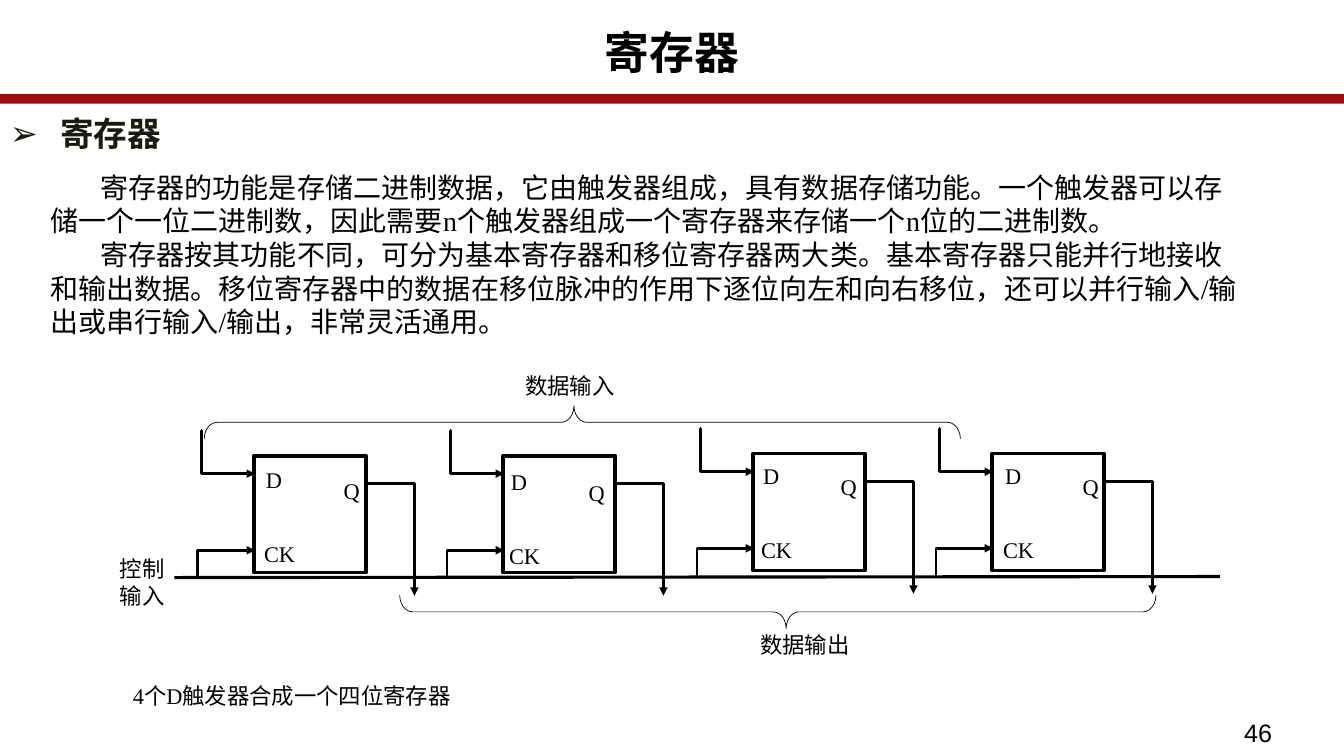
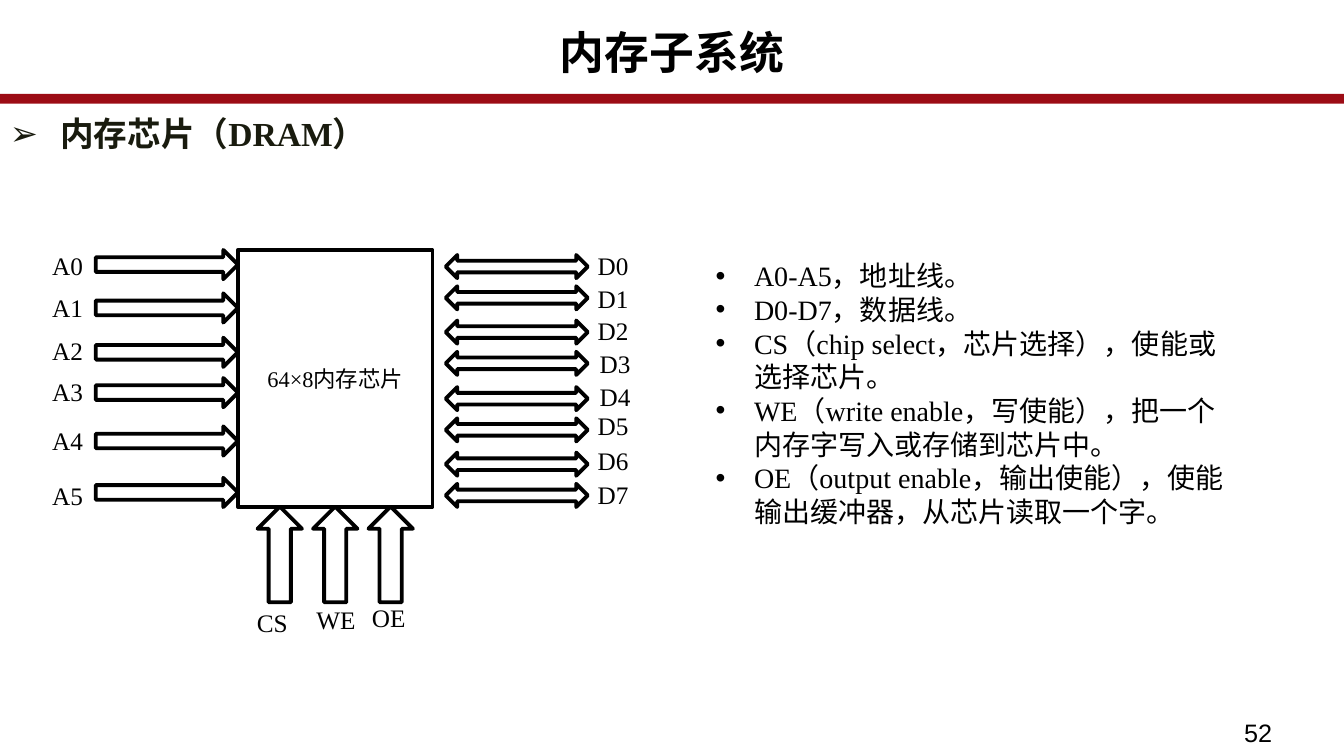
from typing import NamedTuple, Optional, Sequence

from lxml.etree import SubElement
from pptx import Presentation
from pptx.dml.color import RGBColor
from pptx.enum.shapes import MSO_CONNECTOR, MSO_SHAPE
from pptx.enum.text import MSO_ANCHOR, PP_ALIGN
from pptx.oxml.ns import qn
from pptx.presentation import Presentation as Deck
from pptx.shapes.autoshape import Shape
from pptx.shapes.connector import Connector
from pptx.slide import Slide
from pptx.text.text import TextFrame
from pptx.util import Pt

PX = 9144  # one px is a hundredth of an inch
COLORS = {"ink": "000000", "heading": "191B0E", "band": "9C0C15", "paper": "FFFFFF"}
SERIF, SANS = "Times New Roman", "Arial"
OUTLINE = 2.75


class Box(NamedTuple):
    left: int
    top: int
    width: int
    height: int

    def emu(self) -> list[int]:
        return [value * PX for value in self]


class TextStyle(NamedTuple):
    size: int
    font: str = SERIF
    color: str = "ink"
    bold: bool = False
    align: PP_ALIGN = PP_ALIGN.LEFT
    line_spacing: Optional[float] = None
    margin: int = 0
    indent: int = 0
    bullet: str = ""


class FlipFlop(NamedTuple):
    left: int
    top: int
    label_left: int
    label_top: int


class Pin(NamedTuple):
    name: str
    label_left: int
    label_top: int


TITLE = TextStyle(32, bold=True, align=PP_ALIGN.CENTER, line_spacing=0.89)
HEADING = TextStyle(24, color="heading", bold=True, line_spacing=0.94,
                    margin=50, indent=-50, bullet="➢")
BODY = TextStyle(20, indent=50)
BULLETS = TextStyle(20, margin=38, indent=-38, bullet="•")
LABEL = TextStyle(16)
PIN_LABEL = TextStyle(18)
CAPTION = TextStyle(16, indent=14)
CHIP_LABEL = TextStyle(16, align=PP_ALIGN.CENTER)
PAGE_NUMBER = TextStyle(18, font=SANS)

FLIP_FLOPS = [
    FlipFlop(252, 452, 254, 458),
    FlipFlop(499, 452, 497, 460),
    FlipFlop(747, 450, 747, 454),
    FlipFlop(984, 450, 987, 454),
]
ADDRESS_ARROW_TOPS = [248, 291, 335, 375, 423, 474]
ADDRESS_LABEL_TOPS = [243, 285, 328, 368, 417, 472]
DATA_LABEL_TOPS = [243, 276, 308, 341, 373, 402, 437, 471]
CONTROL_PINS = [Pin("CS", 245, 598), Pin("WE", 304, 595), Pin("OE", 359, 593)]


def color(name: str) -> RGBColor:
    return RGBColor.from_string(COLORS[name])


def write(text_frame: TextFrame, lines: Sequence[str], style: TextStyle) -> None:
    text_frame.word_wrap = True
    text_frame.text = "\n".join(lines)
    for paragraph in text_frame.paragraphs:
        properties = paragraph._p.get_or_add_pPr()
        properties.set("marL", str(style.margin * PX))
        properties.set("indent", str(style.indent * PX))
        if style.bullet:
            SubElement(properties, qn("a:buFont")).set("typeface", SANS)
            SubElement(properties, qn("a:buChar")).set("char", style.bullet)
        paragraph.alignment = style.align
        if style.line_spacing:
            paragraph.line_spacing = style.line_spacing
        for run in paragraph.runs:
            run.font.name = style.font
            run.font.size = Pt(style.size)
            run.font.bold = style.bold
            run.font.color.rgb = color(style.color)


def add_text(slide: Slide, box: Box, style: TextStyle, *lines: str) -> None:
    write(slide.shapes.add_textbox(*box.emu()).text_frame, lines, style)


def add_outlined(slide: Slide, kind: MSO_SHAPE, box: Box, fill: Optional[str] = "paper",
                 line: str = "ink", width: float = OUTLINE, rotation: int = 0) -> Shape:
    shape = slide.shapes.add_shape(kind, *box.emu())
    shape.shadow.inherit = False
    if fill:
        shape.fill.solid()
        shape.fill.fore_color.rgb = color(fill)
    else:
        shape.fill.background()
    shape.line.color.rgb = color(line)
    shape.line.width = Pt(width)
    shape.rotation = rotation
    return shape


def add_line(slide: Slide, kind: MSO_CONNECTOR, start: tuple[float, float],
             end: tuple[float, float], width: float) -> Connector:
    ends = [round(value * PX) for value in (*start, *end)]
    connector = slide.shapes.add_connector(kind, *ends)
    connector.line.color.rgb = color("ink")
    connector.line.width = Pt(width)
    SubElement(connector.element.spPr, qn("a:effectLst"))
    return connector


def add_wire(slide: Slide, start: tuple[int, int], end: tuple[int, int],
             horizontal_first: bool = False) -> None:
    """Draw an L-shaped arrow; the elbow is turned a quarter to leave horizontally."""
    bend = 2200
    if horizontal_first:
        middle_x, middle_y = (start[0] + end[0]) / 2, (start[1] + end[1]) / 2
        half_x, half_y = (end[1] - start[1]) / 2, (end[0] - start[0]) / 2
        start = (middle_x - half_x, middle_y + half_y)
        end = (middle_x + half_x, middle_y - half_y)
        bend = 400
    wire = add_line(slide, MSO_CONNECTOR.ELBOW, start, end, 2)
    properties = wire.element.spPr
    if horizontal_first:
        properties.find(qn("a:xfrm")).set("rot", "5400000")
    geometry = properties.find(qn("a:prstGeom"))
    adjustments = geometry.find(qn("a:avLst"))
    if adjustments is None:
        adjustments = SubElement(geometry, qn("a:avLst"))
    guide = SubElement(adjustments, qn("a:gd"))
    guide.set("name", "adj1")
    guide.set("fmla", f"val {bend}")
    SubElement(properties.find(qn("a:ln")), qn("a:tailEnd")).set("type", "triangle")


def add_brace(slide: Slide, box: Box, rotation: int) -> None:
    brace = add_outlined(slide, MSO_SHAPE.LEFT_BRACE, box, fill=None, width=0.5,
                         rotation=rotation)
    brace.adjustments[0] = 0.386
    brace.adjustments[1] = 0.511


def add_titled_slide(presentation: Deck, title: str, heading: str, number: int) -> Slide:
    slide = presentation.slides.add_slide(presentation.slide_layouts[5])
    add_outlined(slide, MSO_SHAPE.ROUNDED_RECTANGLE, Box(-1, 95, 1334, 6), "band", "band")
    placeholder = slide.shapes.title
    placeholder.left, placeholder.top, placeholder.width, placeholder.height = Box(
        0, 26, 1333, 75).emu()
    placeholder.text_frame.vertical_anchor = MSO_ANCHOR.TOP
    write(placeholder.text_frame, [title], TITLE)
    add_text(slide, Box(0, 110, 871, 51), HEADING, heading)
    add_text(slide, Box(1224, 707, 109, 44), PAGE_NUMBER, str(number))
    return slide


def add_flip_flop(slide: Slide, unit: FlipFlop) -> None:
    left, top, label_left, label_top = unit
    add_outlined(slide, MSO_SHAPE.RECTANGLE, Box(left, top, 111, 116))
    add_wire(slide, (left - 53, top - 25), (left + 1, top + 18))
    add_wire(slide, (left - 57, top + 121), (left + 1, top + 94))
    add_wire(slide, (left + 111, top + 27), (left + 159, top + 139), horizontal_first=True)
    add_text(slide, Box(label_left, label_top, 30, 37), LABEL, "D")
    add_text(slide, Box(label_left + 77, label_top + 10, 37, 37), LABEL, "Q")
    add_text(slide, Box(label_left - 2, label_top + 73, 79, 37), LABEL, "CK")


def add_register_slide(presentation: Deck) -> None:
    slide = add_titled_slide(presentation, "寄存器", "寄存器", 46)
    add_text(
        slide, Box(40, 164, 1198, 178), BODY,
        "寄存器的功能是存储二进制数据，它由触发器组成，具有数据存储功能。一个触发器可以存储一个"
        "一位二进制数，因此需要n个触发器组成一个寄存器来存储一个n位的二进制数。",
        "寄存器按其功能不同，可分为基本寄存器和移位寄存器两大类。基本寄存器只能并行地接收和输出"
        "数据。移位寄存器中的数据在移位脉冲的作用下逐位向左和向右移位，还可以并行输入/输出或"
        "串行输入/输出，非常灵活通用。",
    )
    for unit in FLIP_FLOPS:
        add_flip_flop(slide, unit)
    add_line(slide, MSO_CONNECTOR.STRAIGHT, (173, 573), (1210, 572), 2.25)
    add_brace(slide, Box(561, 44, 33, 750), 90)
    add_brace(slide, Box(755, 232, 33, 750), 270)
    add_text(slide, Box(511, 364, 164, 37), LABEL, "数据输入")
    add_text(slide, Box(744, 621, 162, 37), LABEL, "数据输出")
    add_text(slide, Box(109, 546, 70, 64), LABEL, "控制输入")
    add_text(slide, Box(108, 672, 465, 37), CAPTION, "4个D触发器合成一个四位寄存器")


def add_memory_slide(presentation: Deck) -> None:
    slide = add_titled_slide(presentation, "内存子系统", "内存芯片（DRAM）", 52)
    chip = add_outlined(slide, MSO_SHAPE.RECTANGLE, Box(236, 248, 193, 255))
    chip.text_frame.vertical_anchor = MSO_ANCHOR.MIDDLE
    write(chip.text_frame, ["64×8内存芯片"], CHIP_LABEL)

    for top in ADDRESS_ARROW_TOPS:
        add_outlined(slide, MSO_SHAPE.RIGHT_ARROW, Box(95, top, 141, 29))
    for index in range(len(DATA_LABEL_TOPS)):
        top = 253 + index // 2 * 131 // 2 + index % 2 * 31
        add_outlined(slide, MSO_SHAPE.LEFT_RIGHT_ARROW, Box(442, top, 141, 23))
    for index in range(len(CONTROL_PINS)):
        add_outlined(slide, MSO_SHAPE.RIGHT_ARROW, Box(230 + 55 * index, 528, 95, 44),
                     rotation=270)

    address_pins = [Pin(f"A{index}", 42, top) for index, top in enumerate(ADDRESS_LABEL_TOPS)]
    data_pins = [Pin(f"D{index}", 585 if index in (3, 4) else 583, top)
                 for index, top in enumerate(DATA_LABEL_TOPS)]
    for pin in address_pins + data_pins + CONTROL_PINS:
        add_text(slide, Box(pin.label_left, pin.label_top, 66, 40), PIN_LABEL, pin.name)

    add_text(
        slide, Box(700, 252, 542, 280), BULLETS,
        "A0-A5，地址线。",
        "D0-D7，数据线。",
        "CS（chip select，芯片选择），使能或选择芯片。",
        "WE（write enable，写使能），把一个内存字写入或存储到芯片中。",
        "OE（output enable，输出使能），使能输出缓冲器，从芯片读取一个字。",
    )


def main() -> None:
    presentation = Presentation()
    presentation.slide_width, presentation.slide_height = 1333 * PX, 750 * PX
    add_register_slide(presentation)
    add_memory_slide(presentation)
    presentation.save("out.pptx")


if __name__ == "__main__":
    main()
